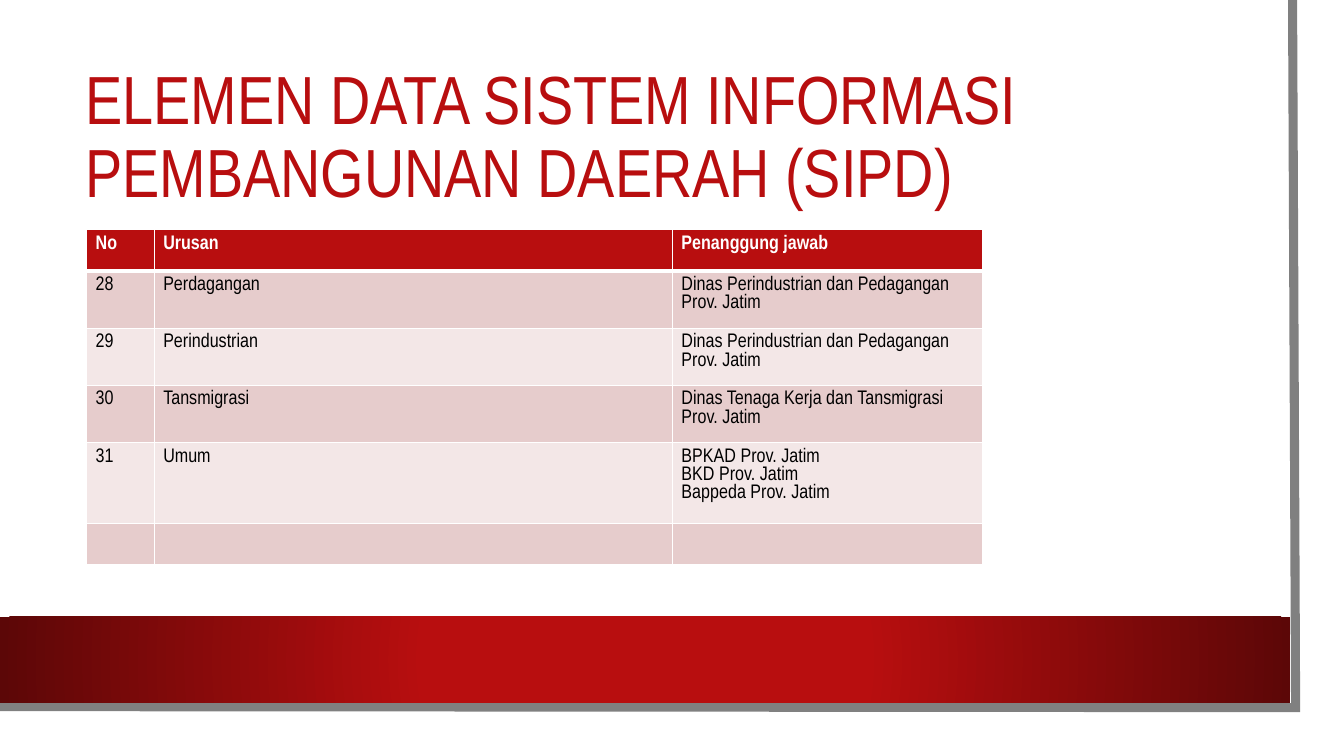
import pptx
import pptx.util
import pptx.dml.color
import pptx.enum.shapes
import pptx.enum.text
import pptx.oxml
import pptx.oxml.ns

PX = 9144
FONT = "Arial Narrow"
NS = pptx.oxml.ns.nsdecls("a")
COLORS = {"red": "B80E0F", "dark": "5C0707", "grey": "808080", "white": "FFFFFF",
          "black": "000000", "odd": "E6CCCC", "even": "F3E7E7"}
HEADER = {"size": pptx.util.Pt(14), "name": FONT, "bold": True}
BODY = {**HEADER, "bold": False}
TITLE = {"size": pptx.util.Pt(48.6), "name": FONT, "bold": False}
MARGINS = {"margin_left": 9, "margin_top": 5, "margin_right": 9, "margin_bottom": 5}
COLUMNS = (67, 514, 308)
ROWS = [
    ("No", "Urusan", "Penanggung jawab"),
    ("28", "Perdagangan", "Dinas Perindustrian dan Pedagangan Prov. Jatim"),
    ("29", "Perindustrian", "Dinas Perindustrian dan Pedagangan Prov. Jatim"),
    ("30", "Tansmigrasi", "Dinas Tenaga Kerja dan Tansmigrasi Prov. Jatim"),
    ("31", "Umum", "BPKAD Prov. Jatim\nBKD Prov. Jatim\nBappeda Prov. Jatim"),
    ("", "", ""),
]


def emu(*lengths):
    """Turn px lengths into EMU."""
    return [pptx.util.Emu(n * PX) for n in lengths]


def rgb(name):
    """Look up a named colour."""
    return pptx.dml.color.RGBColor.from_string(COLORS[name])


def write(tf, text, style, color, spacing):
    """Fill a text frame with styled paragraphs, one per line of text."""
    tf.text = text
    for p in tf.paragraphs:
        p.line_spacing = spacing
        for font in [p.font] + [r.font for r in p.runs]:
            for key, value in style.items():
                setattr(font, key, value)
            font.color.rgb = rgb(color)


def add_rect(slide, box, color):
    """Add a plain filled rectangle."""
    sp = slide.shapes.add_shape(pptx.enum.shapes.MSO_SHAPE.RECTANGLE, *emu(*box))
    sp.shadow.inherit = False
    sp.fill.solid()
    sp.fill.fore_color.rgb = rgb(color)
    sp.line.fill.background()
    return sp


def add_frame(slide, box):
    """Draw the white page, its grey edge and the red band inside the box."""
    x, y, w, h = box
    add_rect(slide, box, "white")

    right, bottom = x + w - 25, y + h - 25
    fb = slide.shapes.build_freeform(right - 3, y, scale=PX)
    fb.add_line_segments([(right, bottom), (x - 3, bottom - 1)], close=False)
    edge = fb.convert_to_shape()
    edge.shadow.inherit = False
    edge.fill.background()
    edge.line.color.rgb = rgb("grey")
    edge.line.width = pptx.util.Pt(6.5)
    edge.line._get_or_add_ln().append(
        pptx.oxml.parse_xml(f'<a:miter {NS} lim="800000"/>'))

    band = add_rect(slide, (x, bottom - 90, w - 30, 85), "red")
    stops = "".join(f'<a:gs pos="{pos}"><a:srgbClr val="{COLORS[c]}"/></a:gs>'
                    for pos, c in ((34000, "red"), (100000, "dark")))
    grad = pptx.oxml.parse_xml(
        f'<a:gradFill {NS} rotWithShape="1"><a:gsLst>{stops}</a:gsLst><a:path path="circle">'
        '<a:fillToRect l="50000" t="50000" r="50000" b="50000"/></a:path></a:gradFill>')
    pr = band._element.spPr
    pr.replace(pr.find(pptx.oxml.ns.qn("a:solidFill")), grad)


def add_title(slide, box):
    """Write the heading, centred vertically in the box."""
    tf = slide.shapes.add_textbox(*emu(*box)).text_frame
    tf.word_wrap = True
    tf.vertical_anchor = pptx.enum.text.MSO_ANCHOR.MIDDLE
    write(tf, "ELEMEN DATA SISTEM INFORMASI PEMBANGUNAN DAERAH (SIPD)", TITLE, "red", 0.9)


def add_borders(cell, header):
    """Give a cell white borders, thicker under the header."""
    pr = cell._tc.get_or_add_tcPr()
    for i, side in enumerate("LRTB"):
        width = pptx.util.Pt(3 if header and side == "B" else 1)
        pr.insert(i, pptx.oxml.parse_xml(
            f'<a:ln{side} {NS} w="{width}"><a:solidFill>'
            f'<a:srgbClr val="{COLORS["white"]}"/></a:solidFill></a:ln{side}>'))


def add_table(slide, box):
    """Build the table of affairs and responsible offices in the box."""
    table = slide.shapes.add_table(len(ROWS), len(COLUMNS), *emu(*box)).table
    for column, width in zip(table.columns, emu(*COLUMNS)):
        column.width = width
    for i, row in enumerate(ROWS):
        table.rows[i].height = emu(41)[0]
        header = i == 0
        fill = "red" if header else ("even", "odd")[i % 2]
        for j, text in enumerate(row):
            cell = table.cell(i, j)
            cell.fill.solid()
            cell.fill.fore_color.rgb = rgb(fill)
            for key, value in MARGINS.items():
                setattr(cell, key, emu(value)[0])
            add_borders(cell, header)
            write(cell.text_frame, text, HEADER if header else BODY,
                  "white" if header else "black", 1.0)


def main():
    """Build the slide and save it."""
    prs = pptx.Presentation()
    prs.slide_width, prs.slide_height = emu(1333, 750)
    slide = prs.slides.add_slide(prs.slide_layouts[6])
    add_frame(slide, (0, 0, 1310, 727))
    add_title(slide, (75, 75, 1137, 126))
    add_table(slide, (86, 228, 889, 246))
    prs.save("out.pptx")


if __name__ == "__main__":
    main()
